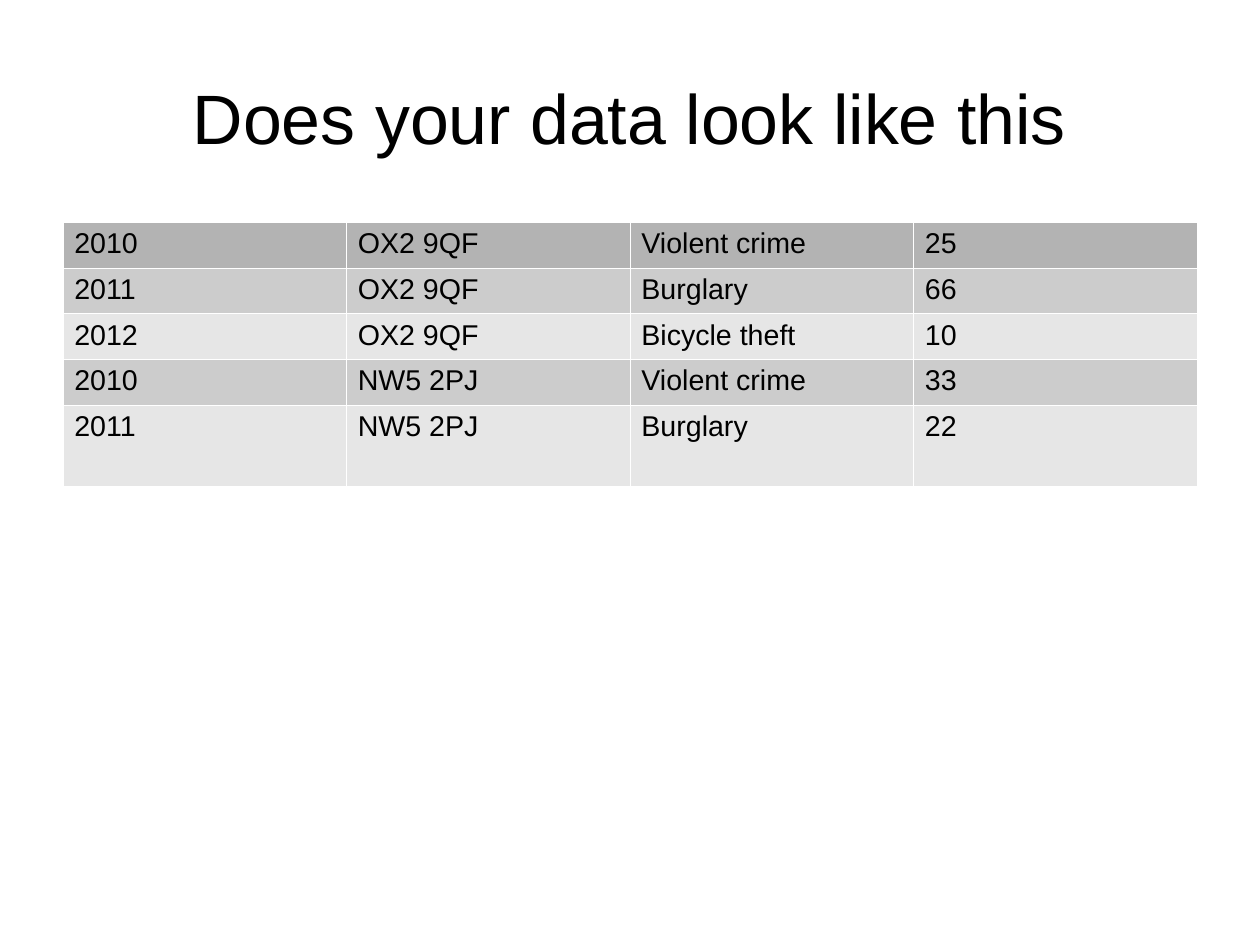
from lxml import etree
from pptx import Presentation
from pptx.dml.color import RGBColor
from pptx.enum import text
from pptx.oxml import ns
from pptx.util import Inches, Pt

COLORS = {"ink": "000000", "rule": "FFFFFF", "header": "B3B3B3",
          "odd": "CCCCCC", "even": "E6E6E6"}
CRIMES = [
    ("2010", "OX2 9QF", "Violent crime", "25"),
    ("2011", "OX2 9QF", "Burglary", "66"),
    ("2012", "OX2 9QF", "Bicycle theft", "10"),
    ("2010", "NW5 2PJ", "Violent crime", "33"),
    ("2011", "NW5 2PJ", "Burglary", "22"),
]
ROW_HEIGHTS = [0.4, 0.4, 0.4, 0.4, 0.71]


def set_attributes(target, values):
    for name, value in values.items():
        setattr(target, name, value)


def write(p, content, size):
    r = p.add_run()
    r.text = content
    set_attributes(r.font, {"name": "Arial", "size": Pt(size), "bold": False})
    r.font.color.rgb = RGBColor.from_string(COLORS["ink"])


def add_borders(cell):
    properties = cell._tc.get_or_add_tcPr()
    for position, side in enumerate(("lnL", "lnR", "lnT", "lnB")):
        line = etree.Element(ns.qn(f"a:{side}"), w=str(Pt(0.06)))
        fill = etree.SubElement(line, ns.qn("a:solidFill"))
        etree.SubElement(fill, ns.qn("a:srgbClr"), val=COLORS["rule"])
        properties.insert(position, line)


def place_title(s, left, top, width, height):
    title = s.shapes.title
    set_attributes(title, {"left": Inches(left), "top": Inches(top),
                           "width": Inches(width), "height": Inches(height)})
    tf = title.text_frame
    set_attributes(tf, {"margin_left": 0, "margin_right": 0, "margin_top": 0,
                        "margin_bottom": 0, "word_wrap": True,
                        "auto_size": text.MSO_AUTO_SIZE.NONE,
                        "vertical_anchor": text.MSO_ANCHOR.MIDDLE})
    p = tf.paragraphs[0]
    p.alignment = text.PP_ALIGN.CENTER
    write(p, "Does your data look like this", 44)


def place_table(s, left, top, width):
    columns = len(CRIMES[0])
    table = s.shapes.add_table(len(CRIMES), columns, Inches(left), Inches(top),
                               Inches(width), Inches(sum(ROW_HEIGHTS))).table
    for column in table.columns:
        column.width = Inches(width / columns)
    for i, (record, height) in enumerate(zip(CRIMES, ROW_HEIGHTS)):
        table.rows[i].height = Inches(height)
        band = "header" if i == 0 else "odd" if i % 2 else "even"
        for j, value in enumerate(record):
            cell = table.cell(i, j)
            set_attributes(cell, {"margin_left": Inches(0.1), "margin_right": Inches(0.1),
                                  "margin_top": Inches(0.05), "margin_bottom": Inches(0.05)})
            cell.fill.solid()
            cell.fill.fore_color.rgb = RGBColor.from_string(COLORS[band])
            add_borders(cell)
            write(cell.text_frame.paragraphs[0], value, 18)


def main():
    prs = Presentation()
    set_attributes(prs, {"slide_width": Inches(11.02), "slide_height": Inches(8.27)})
    s = prs.slides.add_slide(prs.slide_layouts[5])
    place_title(s, 0.55, 0.33, 9.92, 1.38)
    place_table(s, 0.55, 1.94, 9.92)
    prs.save("out.pptx")


if __name__ == "__main__":
    main()
